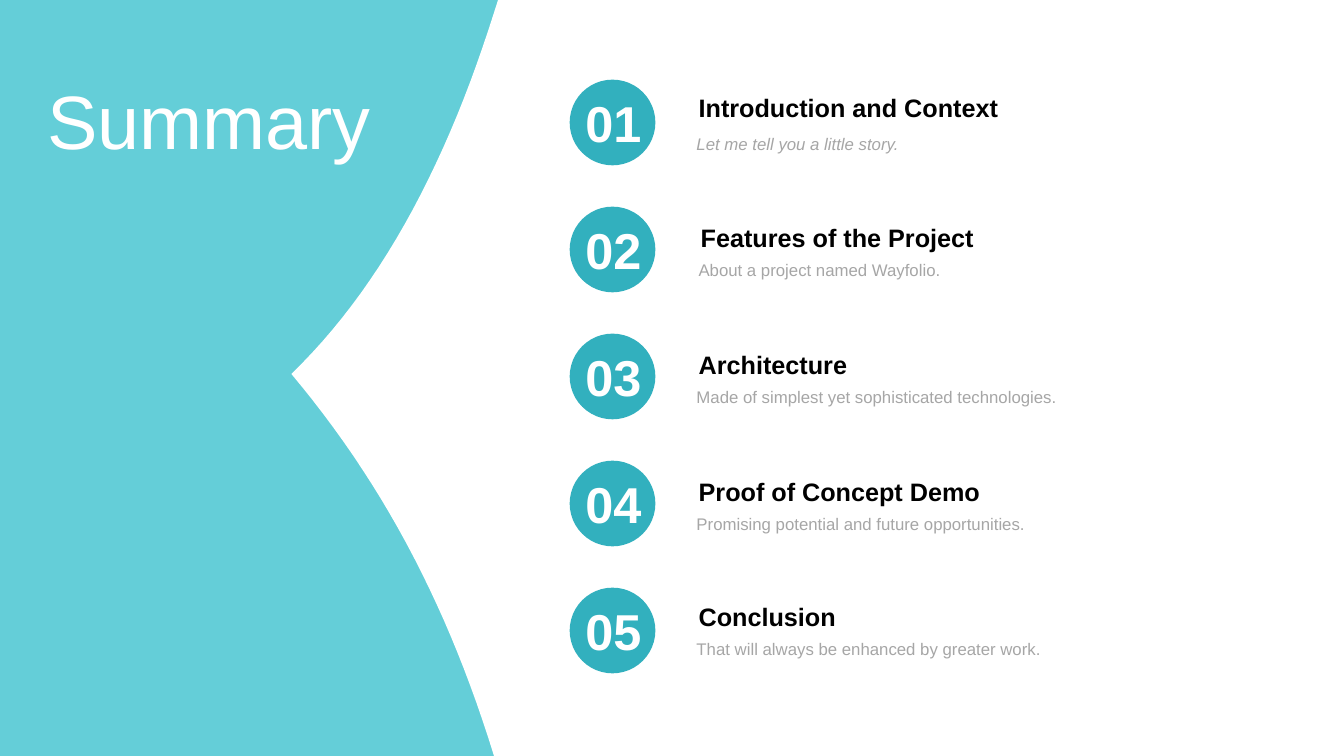
from pptx import Presentation
from pptx import util as u
from pptx.dml.color import RGBColor
from pptx.enum import shapes, text

PX = u.Inches(1) // 100
AQUA = RGBColor(0x64, 0xCE, 0xD8)
TEAL = RGBColor(0x32, 0xB0, 0xBE)
WHITE = RGBColor(0xFF, 0xFF, 0xFF)
BLACK = RGBColor(0, 0, 0)
GREY = RGBColor(0xA6, 0xA6, 0xA6)

WIDTH, HEIGHT = 1333, 750
ROW_PITCH = 126
CURVE_STEPS = 24

# heading, subtitle, left shift, heading drop, heading-to-subtitle distance
TOPICS = [
    ("Introduction and Context", "Let me tell you a little story.", 0, 8, 41),
    ("Features of the Project", "About a project named Wayfolio.", 2, 11, 37),
    ("Architecture", "Made of simplest yet sophisticated technologies.", 0, 11, 37),
    ("Proof of Concept Demo", "Promising potential and future opportunities.", 0, 11, 37),
    ("Conclusion", "That will always be enhanced by greater work.", 0, 9, 37),
]


def px(*lengths):
    return [round(length * PX) for length in lengths]


def bezier(p0, p1, p2, p3):
    """Points along a cubic curve, without its start."""
    points = []
    for i in range(1, CURVE_STEPS + 1):
        t = i / CURVE_STEPS
        weights = ((1 - t) ** 3, 3 * t * (1 - t) ** 2, 3 * t ** 2 * (1 - t), t ** 3)
        points.append(tuple(sum(w * p[axis] for w, p in zip(weights, (p0, p1, p2, p3)))
                            for axis in (0, 1)))
    return points


def paint(sp, color):
    sp.fill.solid()
    sp.fill.fore_color.rgb = color
    sp.line.fill.background()
    sp.shadow.inherit = False


def add_text(parent, box, content, size, color, bold=False, italic=False,
             align=text.PP_ALIGN.LEFT, anchor=text.MSO_ANCHOR.TOP, inset=10):
    tf = parent.add_textbox(*px(*box)).text_frame
    tf.word_wrap = True
    tf.auto_size = text.MSO_AUTO_SIZE.SHAPE_TO_FIT_TEXT
    tf.vertical_anchor = anchor
    tf.margin_left = tf.margin_right = inset * PX
    tf.text = content
    p = tf.paragraphs[0]
    p.alignment = align
    font = p.runs[0].font
    font.name, font.size = "Arial", u.Pt(size)
    font.bold, font.italic = bold, italic
    font.color.rgb = color


def add_panel(s, left, top, width, height):
    """White area whose left edge is two arcs meeting in a point."""
    right, bottom = left + width, top + height
    tip = (left, top + 371)
    lower, upper = (left + 195, top + 731), (left + 196, top + 28)
    outline = [(right, top), (right, bottom), (left + 201, bottom), lower]
    outline += bezier(lower, (left + 150, top + 592), (left + 88, top + 476), tip)
    outline += bezier(tip, (left + 85, top + 289), (left + 149, top + 172), upper)
    builder = s.shapes.build_freeform(*px(left + 205, top))
    builder.add_line_segments([px(*point) for point in outline], close=True)
    paint(builder.convert_to_shape(), WHITE)


def add_topic(s, left, top, number, heading, subtitle, shift, drop, distance):
    parent = s.shapes.add_group_shape().shapes
    text_left, text_top = left + 116 + shift, top + drop
    add_text(parent, (text_left, text_top + distance, 560, 30), subtitle, 12, GREY,
             italic=number == 1)
    add_text(parent, (text_left, text_top, 560, 40), heading, 18, BLACK,
             bold=True, inset=12)
    paint(parent.add_shape(shapes.MSO_SHAPE.OVAL, *px(left, top, 85, 85)), TEAL)
    add_text(parent, (left - 9, top + 7, 105, 71), f"{number:02}", 36, WHITE,
             bold=True, align=text.PP_ALIGN.CENTER, inset=12)


def add_summary_slide(prs):
    s = prs.slides.add_slide(prs.slide_layouts[6])
    s.background.fill.solid()
    s.background.fill.fore_color.rgb = AQUA
    add_panel(s, 289, 0, WIDTH - 289, HEIGHT)
    add_text(s.shapes, (37, 68, 382, 101), "Summary", 54, WHITE,
             anchor=text.MSO_ANCHOR.MIDDLE)
    for i, topic in enumerate(TOPICS):
        add_topic(s, 565, 79 + i * ROW_PITCH, i + 1, *topic)


def main():
    prs = Presentation()
    prs.slide_width, prs.slide_height = px(WIDTH, HEIGHT)
    add_summary_slide(prs)
    prs.save("out.pptx")


if __name__ == "__main__":
    main()
